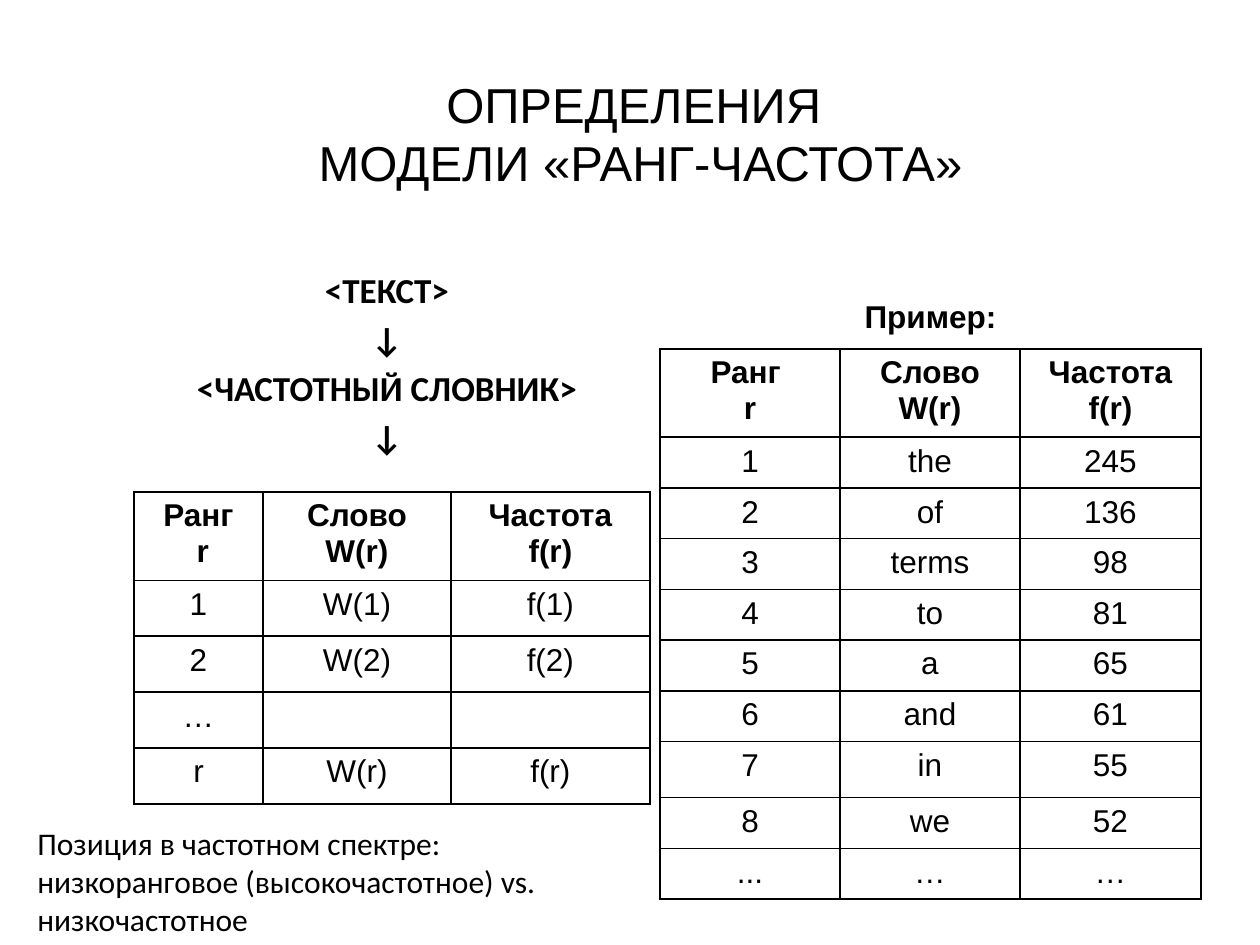
import copy
import lxml.etree
import pptx
import pptx.dml.color
import pptx.enum.text
import pptx.oxml.ns
import pptx.util

PIXEL = pptx.util.Inches(1) / 126
COLORS = {"ink": "000000"}
ALIGN = pptx.enum.text.PP_ALIGN
ANCHOR = pptx.enum.text.MSO_ANCHOR
qn = pptx.oxml.ns.qn


def px(length):
    return round(length * PIXEL)


def write(frame, text, font="Arial", size=18, bold=False, align=ALIGN.CENTER, before=0):
    frame.word_wrap = True
    for index, line in enumerate(text.split("\n")):
        paragraph = frame.add_paragraph() if index else frame.paragraphs[0]
        paragraph.text = line
        paragraph.alignment = align
        paragraph.space_before = pptx.util.Pt(before)
        for run in paragraph.runs:
            run.font.name = font
            run.font.size = pptx.util.Pt(size)
            run.font.bold = bold
            run.font.color.rgb = pptx.dml.color.RGBColor.from_string(COLORS["ink"])
        for line_break in paragraph._p.findall(qn("a:br")):
            line_break.insert(0, copy.deepcopy(paragraph.runs[0]._r.find(qn("a:rPr"))))


class Page:
    def __init__(self, deck):
        self.slide = deck.slides.add_slide(deck.slide_layouts[5])

    def title(self, box, text, **style):
        heading = self.slide.shapes.title
        heading.left, heading.top, heading.width, heading.height = map(px, box)
        heading.text_frame.vertical_anchor = ANCHOR.MIDDLE
        heading.text_frame.auto_size = pptx.enum.text.MSO_AUTO_SIZE.NONE
        write(heading.text_frame, text, **style)

    def text(self, box, text, **style):
        write(self.slide.shapes.add_textbox(*map(px, box)).text_frame, text, **style)

    def border(self, cell, sides):
        properties = cell._tc.get_or_add_tcPr()
        for position, side in enumerate("LRTB"):
            line = lxml.etree.Element(qn(f"a:ln{side}"), w=str(pptx.util.Pt(1)))
            if side in sides:
                fill = lxml.etree.SubElement(line, qn("a:solidFill"))
                lxml.etree.SubElement(fill, qn("a:srgbClr"), val=COLORS["ink"])
            else:
                lxml.etree.SubElement(line, qn("a:noFill"))
            properties.insert(position, line)

    def table(self, left, top, columns, heights, rows, caption=None):
        body = ([[caption]] if caption else []) + rows
        header = 1 if caption else 0
        grid = self.slide.shapes.add_table(
            len(body), len(columns), px(left), px(top), px(sum(columns)), px(sum(heights))
        ).table
        grid.first_row = grid.horz_banding = False
        for column, width in zip(grid.columns, columns):
            column.width = px(width)
        for row, height in zip(grid.rows, heights):
            row.height = px(height)
        if caption:
            grid.cell(0, 0).merge(grid.cell(0, len(columns) - 1))
        for index, row in enumerate(grid.rows):
            for cell in row.cells:
                cell.fill.background()
                self.border(cell, "B" if index < header else "LRTB")
            for cell, value in zip(row.cells, body[index]):
                if value:
                    write(cell.text_frame, value, bold=index <= header)


deck = pptx.Presentation()
deck.slide_width = pptx.util.Inches(10)
deck.slide_height = pptx.util.Inches(7.5)
page = Page(deck)

page.title((63, 34, 1155, 198), "ОПРЕДЕЛЕНИЯ \vМОДЕЛИ «РАНГ-ЧАСТОТА»", size=28)
page.text((116, 262, 542, 508), "<ТЕКСТ>\n↓\n<ЧАСТОТНЫЙ СЛОВНИК>\n↓",
          font="Calibri", size=20, bold=True, before=4)

definitions = [
    ["Ранг\v r", "Слово W(r)", "Частота f(r)"],
    ["1", "W(1)", "f(1)"],
    ["2", "W(2)", "f(2)"],
    ["…", "", ""],
    ["r", "W(r)", "f(r)"],
]
page.table(134, 492, [129, 188, 199], [88] + [56] * 4, definitions)

frequencies = {"the": 245, "of": 136, "terms": 98, "to": 81,
               "a": 65, "and": 61, "in": 55, "we": 52}
example = [["Ранг \vr", "Слово W(r)", "Частота f(r)"]]
example += [[str(rank), word, str(count)]
            for rank, (word, count) in enumerate(frequencies.items(), 1)]
example.append(["...", "…", "…"])
page.table(660, 294, [180, 180, 181], [55, 88] + [51, 50] * 3 + [56, 51, 50],
           example, caption="Пример:")

page.text((25, 818, 630, 127),
          "Позиция в частотном спектре: низкоранговое (высокочастотное) vs. низкочастотное",
          font="Calibri", align=ALIGN.LEFT)

deck.save("out.pptx")
